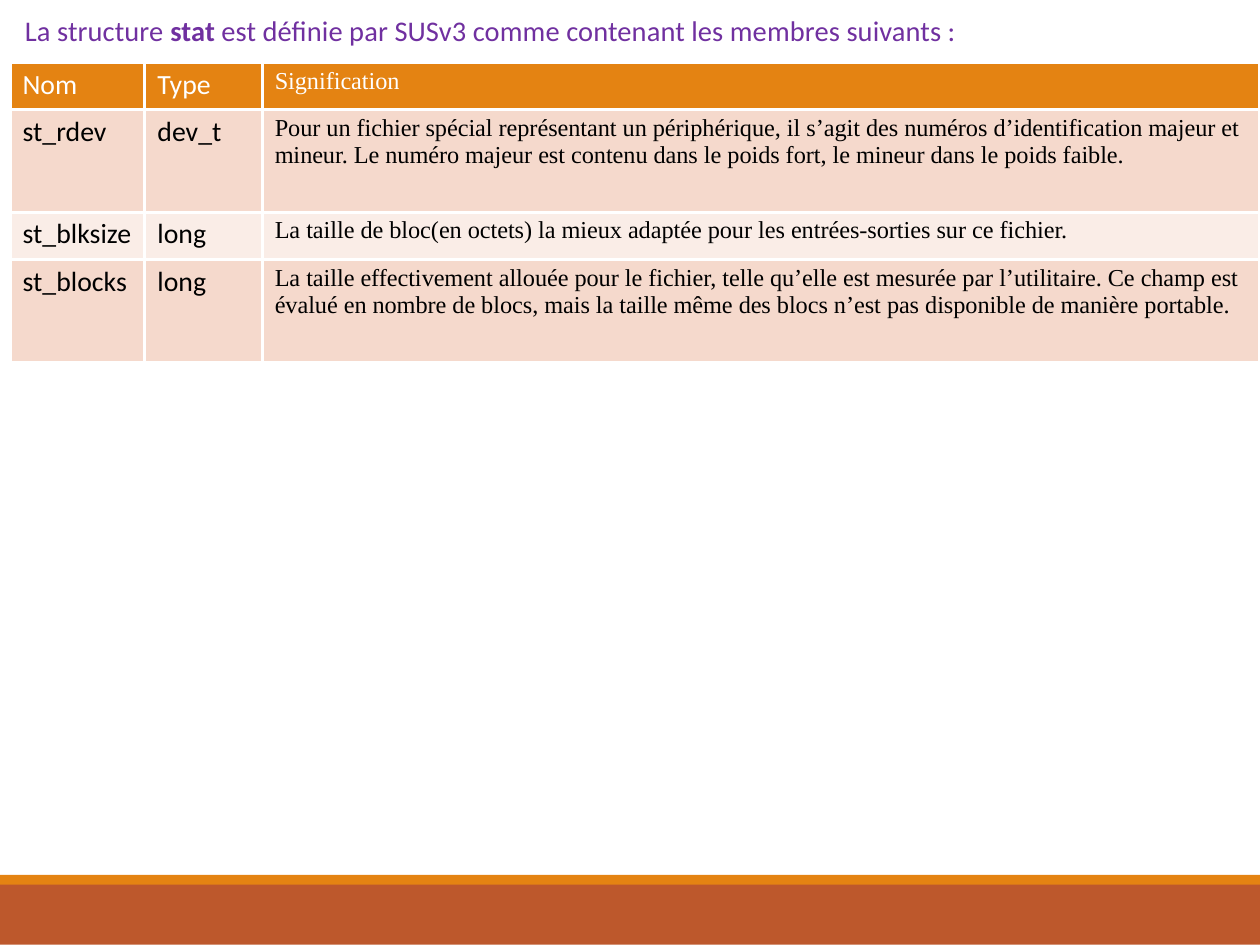
from dataclasses import dataclass

from lxml import etree
from pptx import Presentation
from pptx import util as u
from pptx.dml.color import RGBColor
from pptx.enum import shapes, text
from pptx.oxml import ns


@dataclass(frozen=True)
class Theme:
    title: str = "7030A0"
    orange: str = "E48312"
    rust: str = "BD582C"
    white: str = "FFFFFF"
    black: str = "000000"
    bands: tuple = ("F5D9CC", "FAEDE7")
    sans: str = "Calibri"
    serif: str = "Times New Roman"
    title_size: float = 8.25
    name_size: float = 8
    meaning_size: float = 7
    border: float = 1


theme = Theme()


def add_span(para, words, font, size, color, bold=False):
    span = para.add_run()
    span.text = words
    span.font.name = font
    span.font.size = u.Pt(size)
    span.font.bold = bold
    span.font.color.rgb = RGBColor.from_string(color)


def add_borders(cell, color, width):
    properties = cell._tc.get_or_add_tcPr()
    for side in ("lnL", "lnR", "lnT", "lnB"):
        line = etree.SubElement(properties, ns.qn(f"a:{side}"), w=str(u.Pt(width)))
        fill = etree.SubElement(line, ns.qn("a:solidFill"))
        etree.SubElement(fill, ns.qn("a:srgbClr"), val=color)


# Page of 363 by 272.5 points
deck = Presentation()
deck.slide_width = u.Inches(363 / 72)
deck.slide_height = u.Inches(272.5 / 72)
page = deck.slides.add_slide(deck.slide_layouts.get_by_name("Title Only"))

# Footer bands
for top, height, color in ((3.53, 0.25, theme.rust), (3.5, 0.04, theme.orange)):
    band = page.shapes.add_shape(shapes.MSO_SHAPE.RECTANGLE, 0, u.Inches(top),
                                 deck.slide_width, u.Inches(height))
    band.shadow.inherit = False
    band.fill.solid()
    band.fill.fore_color.rgb = RGBColor.from_string(color)
    band.line.fill.background()

# Title
title = page.shapes.title
title.left, title.top = u.Inches(0), u.Inches(0)
title.width, title.height = u.Inches(4.92), u.Inches(0.24)
frame = title.text_frame
frame.word_wrap = True
frame.auto_size = text.MSO_AUTO_SIZE.SHAPE_TO_FIT_TEXT
frame.vertical_anchor = text.MSO_ANCHOR.TOP
frame.margin_left = frame.margin_right = u.Inches(0.1)
frame.margin_top = frame.margin_bottom = u.Inches(0.05)
para = frame.paragraphs[0]
para.alignment = text.PP_ALIGN.LEFT
for words, bold in (
    ("La structure ", False),
    ("stat ", True),
    ("est définie par SUSv3 comme contenant les membres suivants :", False),
):
    add_span(para, words, theme.sans, theme.title_size, theme.title, bold)

# Table of structure members
members = (
    ("Nom", "Type", "Signification"),
    ("st_rdev", "dev_t",
     "Pour un fichier spécial représentant un périphérique, il s’agit des numéros "
     "d’identification majeur et mineur. Le numéro majeur est contenu dans le poids "
     "fort, le mineur dans le poids faible."),
    ("st_blksize", "long",
     "La taille de bloc(en octets) la mieux adaptée pour les entrées-sorties sur ce "
     "fichier."),
    ("st_blocks", "long",
     "La taille effectivement allouée pour le fichier, telle qu’elle est mesurée par "
     "l’utilitaire. Ce champ est évalué en nombre de blocs, mais la taille même des "
     "blocs n’est pas disponible de manière portable."),
)
widths = (0.54, 0.47, 3.99)
heights = (0.19, 0.41, 0.19, 0.41)
table = page.shapes.add_table(len(heights), len(widths), u.Inches(0.04), u.Inches(0.25),
                              u.Inches(sum(widths)), u.Inches(sum(heights))).table
for column, width in zip(table.columns, widths):
    column.width = u.Inches(width)

for row_number, (row, height, member) in enumerate(zip(table.rows, heights, members)):
    row.height = u.Inches(height)
    header = row_number == 0
    background = theme.orange if header else theme.bands[(row_number - 1) % 2]
    ink = theme.white if header else theme.black
    for column_number, (cell, words) in enumerate(zip(row.cells, member)):
        cell.margin_left = cell.margin_right = u.Inches(0.05)
        cell.margin_top = cell.margin_bottom = u.Inches(0.02)
        add_borders(cell, theme.white, theme.border)
        cell.fill.solid()
        cell.fill.fore_color.rgb = RGBColor.from_string(background)
        meaning = column_number == 2
        add_span(cell.text_frame.paragraphs[0], words,
                 theme.serif if meaning else theme.sans,
                 theme.meaning_size if meaning else theme.name_size, ink)

deck.save("out.pptx")
